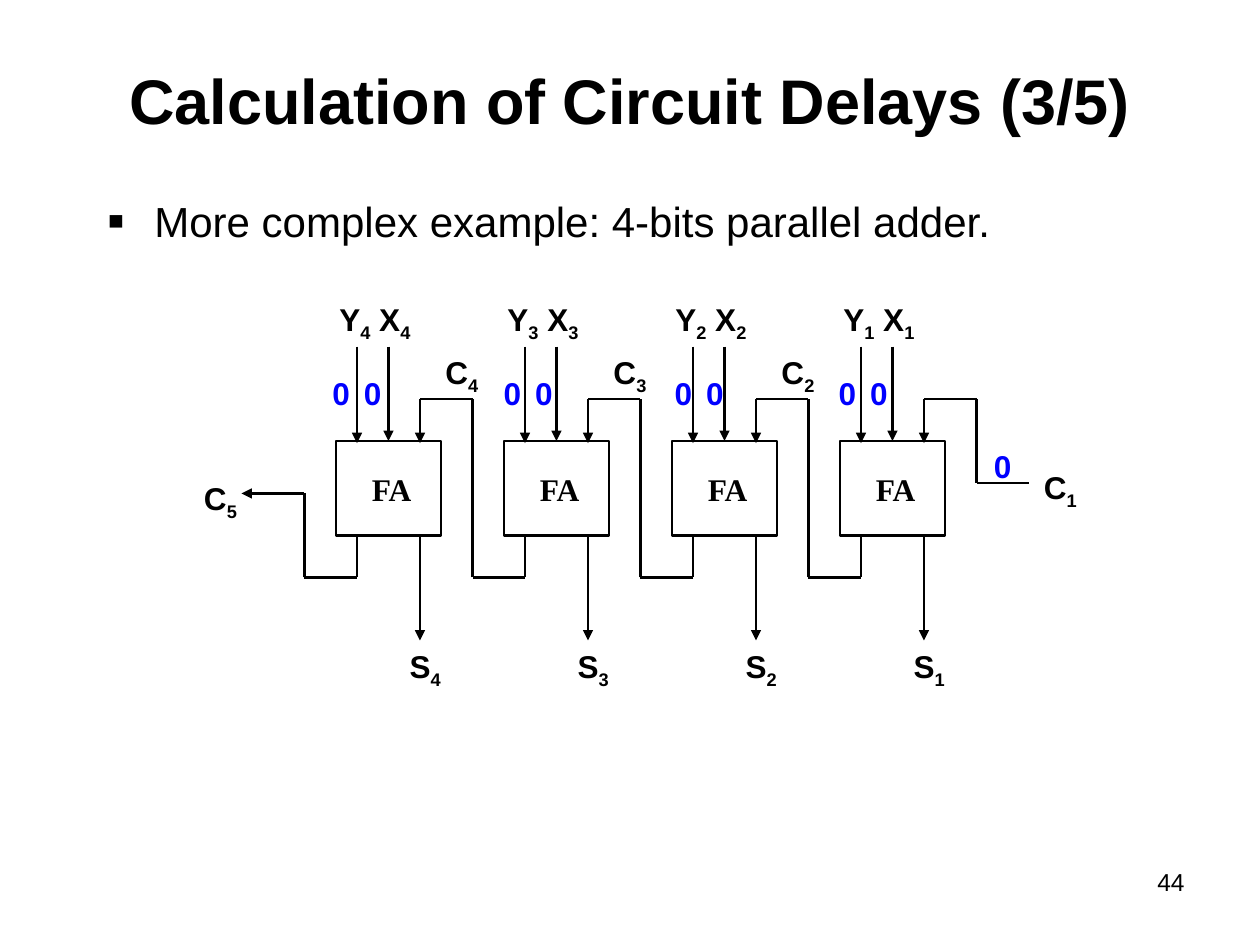
from dataclasses import dataclass
from itertools import groupby, pairwise

from lxml import etree
from pptx import Presentation
from pptx import util as u
from pptx.dml.color import RGBColor
from pptx.enum import shapes, text
from pptx.oxml.ns import qn

SCALE = 7620  # EMU per px, 120 px to the inch
COLORS = {"ink": "000000", "signal": "0000FF"}
PITCH, FIRST_ADDER = 160, 320
ADDER_TOP, ADDER_WIDTH, ADDER_HEIGHT = 420, 100, 90
ADDER_BOTTOM = ADDER_TOP + ADDER_HEIGHT
ARROW_TIP = ADDER_TOP + 2
CARRY_TOP, CARRY_BOTTOM = 380, 550


@dataclass
class Label:
    words: str
    left: int
    top: int
    width: int
    height: int = 53
    color: str = "ink"
    font: str = "Arial"
    size: int = 18
    bold: bool = True
    align: text.PP_ALIGN = text.PP_ALIGN.CENTER


@dataclass
class Adder:
    bit: int
    left: int
    zero_offset: int  # from the adder's left edge to the box of its Y value


ADDERS = [Adder(4 - i, FIRST_ADDER + i * PITCH, offset)
          for i, offset in enumerate((-20, -17, -14, -18))]


def px(length: int) -> u.Emu:
    return u.Emu(length * SCALE)


def set_font(font, name: str, size: int, bold: bool, color: str) -> None:
    values = {"name": name, "size": u.Pt(size), "bold": bold}
    for key, value in values.items():
        setattr(font, key, value)
    font.color.rgb = RGBColor.from_string(COLORS[color])


def place(shape, left: int, top: int, width: int, height: int) -> None:
    box = {"left": left, "top": top, "width": width, "height": height}
    for key, value in box.items():
        setattr(shape, key, px(value))


def add_label(slide, label: Label) -> None:
    """Digits that follow a letter become subscripts."""
    shape = slide.shapes.add_textbox(
        px(label.left), px(label.top), px(label.width), px(label.height))
    shape.text_frame.word_wrap = True
    paragraph = shape.text_frame.paragraphs[0]
    paragraph.alignment = label.align
    for index, (is_digit, letters) in enumerate(groupby(label.words, str.isdigit)):
        run = paragraph.add_run()
        run.text = "".join(letters)
        set_font(run.font, label.font, label.size, label.bold, label.color)
        if is_digit and index:
            run._r.get_or_add_rPr().set("baseline", "-25000")


def add_line(slide, start: tuple[int, int], end: tuple[int, int], arrow: bool):
    line = slide.shapes.add_connector(
        shapes.MSO_CONNECTOR.STRAIGHT, *map(px, start + end))
    line.line.width = u.Pt(1.25)
    line.line.color.rgb = RGBColor.from_string(COLORS["ink"])
    properties = line._element.spPr
    if arrow:
        etree.SubElement(properties.find(qn("a:ln")), qn("a:tailEnd"), type="triangle")
    etree.SubElement(properties, qn("a:effectLst"))
    return line


def add_wire(slide, points: list[tuple[int, int]]) -> None:
    """Draw straight pieces through the points, with an arrowhead at the last."""
    for start, end in pairwise(points):
        add_line(slide, start, end, arrow=end == points[-1])


def add_title(slide, words: str) -> None:
    title = slide.shapes.title
    place(title, 90, 20, 1020, 150)
    title.text_frame.text = words
    title.text_frame.vertical_anchor = text.MSO_ANCHOR.MIDDLE
    title.text_frame.auto_size = text.MSO_AUTO_SIZE.NONE
    paragraph = title.text_frame.paragraphs[0]
    paragraph.alignment = text.PP_ALIGN.CENTER
    set_font(paragraph.runs[0].font, "Arial", 36, True, "ink")


def add_bullet(slide, words: str) -> None:
    body = slide.placeholders[1]
    place(body, 90, 180, 1020, 60)
    body.text_frame.text = words
    body.text_frame.auto_size = text.MSO_AUTO_SIZE.NONE
    paragraph = body.text_frame.paragraphs[0]
    paragraph.space_before = u.Pt(0)
    properties = paragraph._p.get_or_add_pPr()
    properties.set("marL", str(px(45)))
    properties.set("indent", str(px(-45)))
    color = etree.SubElement(properties, qn("a:buClr"))
    etree.SubElement(color, qn("a:srgbClr"), val=COLORS["ink"])
    etree.SubElement(properties, qn("a:buSzPct"), val="120000")
    etree.SubElement(properties, qn("a:buFont"), typeface="Arial")
    etree.SubElement(properties, qn("a:buChar"), char="▪")
    set_font(paragraph.runs[0].font, "Arial", 24, False, "ink")


def add_adder(slide, adder: Adder) -> None:
    left, bit = adder.left, adder.bit
    block = slide.shapes.add_shape(
        shapes.MSO_SHAPE.RECTANGLE, px(left), px(ADDER_TOP),
        px(ADDER_WIDTH), px(ADDER_HEIGHT))
    block.shadow.inherit = False
    block.fill.background()
    block.line.width = u.Pt(1.5)
    block.line.color.rgb = RGBColor.from_string(COLORS["ink"])

    # Inputs Y and X, output S
    add_line(slide, (left + 20, 330), (left + 20, ARROW_TIP), arrow=True)
    x_input = add_line(slide, (left + 50, 330), (left + 50, ADDER_TOP), arrow=True)
    x_input.end_connect(block, 0)
    add_line(slide, (left + 80, ADDER_BOTTOM), (left + 80, 610), arrow=True)

    # Names and input values
    zero = left + adder.zero_offset
    for label in (
        Label("FA", left + 13, 442, 80, 48, font="Times New Roman"),
        Label(f"Y{bit} X{bit}", left - 20, 280, 114),
        Label(f"S{bit}", left + 50, 610, 70),
        Label("0", zero, 350, 50, 48, "signal"),
        Label("0", zero + 30, 350, 50, 48, "signal"),
    ):
        add_label(slide, label)


def add_carries(slide) -> None:
    # Between neighbours: out of the right adder, into the left one
    for adder, source in pairwise(ADDERS):
        left, out, middle = adder.left, source.left + 20, adder.left + 130
        add_wire(slide, [
            (out, ADDER_BOTTOM), (out, CARRY_BOTTOM), (middle, CARRY_BOTTOM),
            (middle, CARRY_TOP), (left + 80, CARRY_TOP), (left + 80, ARROW_TIP)])
        add_label(slide, Label(f"C{adder.bit}", left + 90, 330, 60))

    # First carry in and last carry out
    add_wire(slide, [(980, 460), (930, 460), (930, CARRY_TOP),
                     (880, CARRY_TOP), (880, ARROW_TIP)])
    add_wire(slide, [(340, ADDER_BOTTOM), (340, CARRY_BOTTOM),
                     (290, CARRY_BOTTOM), (290, 470), (230, 470)])
    add_label(slide, Label("C1", 980, 440, 60))
    add_label(slide, Label("C5", 180, 450, 60))
    add_label(slide, Label("0", 930, 420, 50, 48, "signal"))


def main() -> None:
    presentation = Presentation()
    presentation.slide_width, presentation.slide_height = px(1200), px(900)
    slide = presentation.slides.add_slide(presentation.slide_layouts[1])

    add_title(slide, "Calculation of Circuit Delays (3/5)")
    add_bullet(slide, "More complex example: 4-bits parallel adder.")
    for adder in ADDERS:
        add_adder(slide, adder)
    add_carries(slide)

    # Page number
    add_label(slide, Label("44", 860, 820, 280, 62, size=14, bold=False,
                           align=text.PP_ALIGN.RIGHT))
    presentation.save("out.pptx")


if __name__ == "__main__":
    main()
